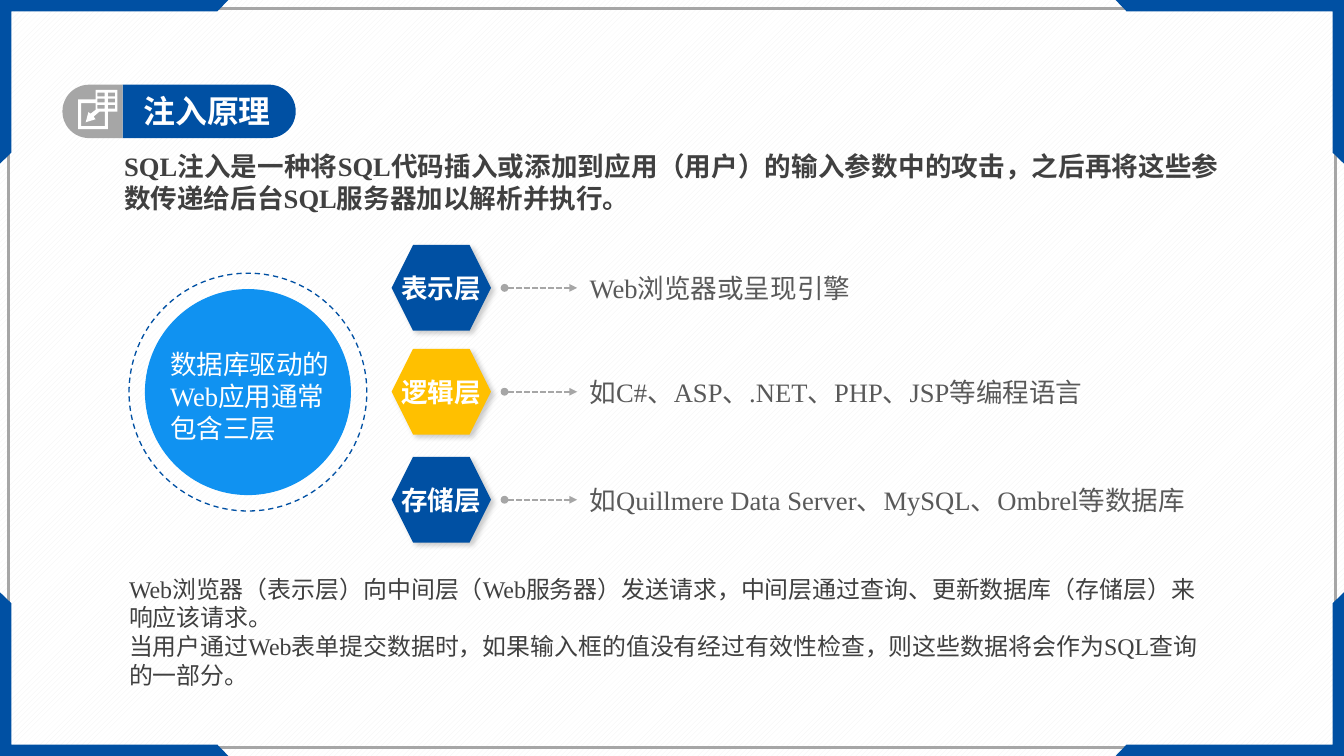
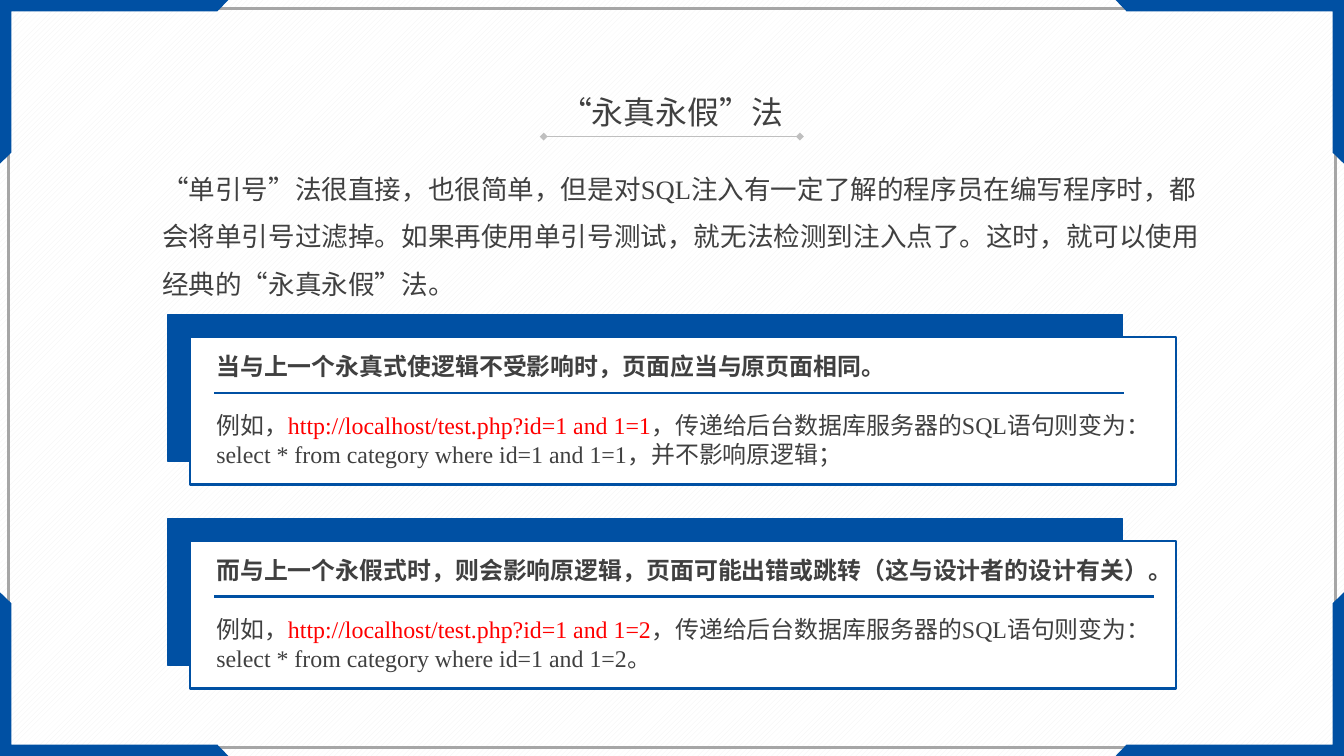
from lxml.etree import SubElement
from pptx import Presentation
from pptx.dml.color import RGBColor
from pptx.enum.dml import MSO_LINE, MSO_PATTERN
from pptx.enum.lang import MSO_LANGUAGE_ID
from pptx.enum.shapes import MSO_CONNECTOR, MSO_SHAPE
from pptx.enum.text import MSO_ANCHOR, PP_ALIGN
from pptx.oxml.ns import qn
from pptx.shapes.connector import Connector
from pptx.util import Cm, Pt

WIDTH, HEIGHT = 35.72, 20.09
BLUE, GREY, WHITE, RED = "0050A3", "A6A6A6", "FFFFFF", "FF0000"
DARK, MEDIUM = "404040", "595959"
SERIF, SANS = "Times New Roman", "Noto Sans CJK SC"


def paint(shape, fill=None, line=None, width=1, dash=None, ends=None):
    """Set fill and line, remove the shadow, and add (head, tail) line ends."""
    if line:
        shape.line.color.rgb = RGBColor.from_string(line)
        shape.line.width = Pt(width)
        if dash:
            shape.line.dash_style = dash
    else:
        shape.line.fill.background()
    if isinstance(shape, Connector):
        outline = shape.element.spPr.find(qn("a:ln"))
        for tag, kind in zip(("a:headEnd", "a:tailEnd"), ends or ()):
            SubElement(outline, qn(tag), type=kind)
        SubElement(shape.element.spPr, qn("a:effectLst"))
        return
    shape.shadow.inherit = False
    if fill:
        shape.fill.solid()
        shape.fill.fore_color.rgb = RGBColor.from_string(fill)
    else:
        shape.fill.background()


def write(shape, paragraphs, size, name=SERIF, bold=False, frame_format=None, **paragraph_format):
    """Fill a shape with paragraphs, each a list of (text, colour) runs."""
    frame = shape.text_frame
    for key, value in {"word_wrap": True, **(frame_format or {})}.items():
        setattr(frame, key, value)
    for index, runs in enumerate(paragraphs):
        paragraph = frame.paragraphs[0] if index == 0 else frame.add_paragraph()
        for key, value in {"alignment": PP_ALIGN.LEFT, **paragraph_format}.items():
            setattr(paragraph, key, value)
        for text, color in runs:
            run = paragraph.add_run()
            run.text = text
            run.font.color.rgb = RGBColor.from_string(color)
            font_format = {"size": Pt(size), "bold": bold, "name": name,
                           "language_id": MSO_LANGUAGE_ID.SIMPLIFIED_CHINESE}
            for key, value in font_format.items():
                setattr(run.font, key, value)
            SubElement(run.font._element, qn("a:ea"), typeface=SANS)


presentation = Presentation()
presentation.slide_width, presentation.slide_height = Cm(WIDTH), Cm(HEIGHT)
layout = presentation.slide_layouts[6]
for placeholder in list(layout.placeholders):
    layout.shapes.element.remove(placeholder.element)
background = layout.background.fill
background.patterned()
background.pattern = MSO_PATTERN.WIDE_UPWARD_DIAGONAL
background.fore_color.rgb = RGBColor.from_string("F2F2F2")
background.back_color.rgb = RGBColor.from_string(WHITE)

principle_slide = presentation.slides.add_slide(layout)
shapes = principle_slide.shapes

# Shared frame: drawn once, then moved to the layout
border = shapes.add_shape(MSO_SHAPE.RECTANGLE, Cm(0.23), Cm(0.23), Cm(WIDTH - 0.46), Cm(HEIGHT - 0.46))
paint(border, line=GREY, width=2)
frame_parts = [border]
corner_points = [(0, 0), (6.07, 0), (5.78, 0.3), (0.3, 0.3), (0.3, 4.06), (0, 4.35)]
for right in (False, True):
    for bottom in (False, True):
        points = [(Cm(WIDTH - x if right else x), Cm(HEIGHT - y if bottom else y)) for x, y in corner_points]
        builder = shapes.build_freeform(*points[0])
        builder.add_line_segments(points[1:])
        corner = builder.convert_to_shape()
        paint(corner, BLUE)
        frame_parts.append(corner)
for part in frame_parts:
    layout.shapes.element.append(part.element)

# Slide 1: heading tab with icon
for left, top, height, rotation, color in [(4.85, 0.66, 4.6, 90, BLUE), (1.75, 2.16, 1.6, 270, GREY)]:
    tab = shapes.add_shape(MSO_SHAPE.ROUND_2_SAME_RECTANGLE, Cm(left), Cm(top), Cm(1.42), Cm(height))
    tab.adjustments[0], tab.adjustments[1] = 0.5, 0
    tab.rotation = rotation
    paint(tab, color)
heading = shapes.add_textbox(Cm(3.43), Cm(2.24), Cm(4.45), Cm(1.42))
write(heading, [[("注入原理", WHITE)]], 24, bold=True,
      frame_format={"margin_left": Cm(0.38), "margin_right": Cm(0.38),
                    "margin_top": Cm(0.2), "margin_bottom": Cm(0.2)})

icon_contours = [
    [(3.12, 2.39), (2.54, 2.39), (2.54, 2.64), (2.08, 2.64), (2.08, 3.43),
     (2.87, 3.43), (2.87, 2.97), (3.12, 2.97)],
    [(2.79, 3.35), (2.16, 3.35), (2.16, 2.74), (2.54, 2.74), (2.54, 2.92), (2.41, 3.02),
     (2.35, 2.98), (2.28, 3.25), (2.54, 3.17), (2.49, 3.1), (2.64, 2.97), (2.79, 2.97)],
]
for left in (2.59, 2.87):
    for top in (2.46, 2.62, 2.79):
        right, bottom = left + 0.19, top + 0.1
        icon_contours.append([(left, top), (right, top), (right, bottom), (left, bottom)])
builder = None
for contour in icon_contours:
    points = [(Cm(x), Cm(y)) for x, y in contour]
    if builder is None:
        builder = shapes.build_freeform(*points[0])
    else:
        builder.move_to(*points[0])
    builder.add_line_segments(points[1:])
paint(builder.convert_to_shape(), WHITE)

introduction = shapes.add_textbox(Cm(3.05), Cm(3.86), Cm(29.59), Cm(1.96))
write(introduction, [[("SQL注入是一种将SQL代码插入或添加到应用（用户）的输入参数中的攻击，"
                       "之后再将这些参数传递给后台SQL服务器加以解析并执行。", DARK)]],
      20, bold=True, alignment=PP_ALIGN.JUSTIFY)

# Slide 1: circle and the three layers
for diameter, style in [(6.32, {"line": BLUE, "dash": MSO_LINE.DASH}),
                        (5.44, {"fill": "1092F1", "line": "1092F1"})]:
    circle = shapes.add_shape(MSO_SHAPE.OVAL, Cm(6.59 - diameter / 2), Cm(10.42 - diameter / 2),
                              Cm(diameter), Cm(diameter))
    paint(circle, **style)
circle_text = shapes.add_textbox(Cm(4.27), Cm(9.12), Cm(5.21), Cm(2.82))
write(circle_text, [[("数据库驱动的Web应用通常包含三层", WHITE)]], 20)

layers = [
    (7.65, "表示层", BLUE, 14.5, "Web浏览器或呈现引擎"),
    (10.41, "逻辑层", "FFC000", 14.5, "如C#、ASP、.NET、PHP、JSP等编程语言"),
    (13.28, "存储层", BLUE, 17.6, "如Quillmere Data Server、MySQL、Ombrel等数据库"),
]
for middle, label, color, width, description in layers:
    hexagon = shapes.add_shape(MSO_SHAPE.HEXAGON, Cm(10.41), Cm(middle - 1.14), Cm(2.64), Cm(2.28))
    paint(hexagon, color)
    effects = hexagon.element.spPr.find(qn("a:effectLst"))
    shadow = SubElement(effects, qn("a:outerShdw"), blurRad=str(Pt(4)), dist=str(Pt(3)),
                        dir="2700000", algn="tl", rotWithShape="0")
    shadow_color = SubElement(shadow, qn("a:srgbClr"), val="000000")
    SubElement(shadow_color, qn("a:alpha"), val="20000")
    write(hexagon, [[(label, WHITE)]], 20, bold=True, alignment=PP_ALIGN.CENTER,
          frame_format={"word_wrap": False, "vertical_anchor": MSO_ANCHOR.MIDDLE,
                        "margin_left": 0, "margin_right": 0})
    arrow = shapes.add_connector(MSO_CONNECTOR.STRAIGHT, Cm(13.41), Cm(middle), Cm(15.34), Cm(middle))
    paint(arrow, line=GREY, width=1.5, dash=MSO_LINE.SQUARE_DOT, ends=("oval", "triangle"))
    description_box = shapes.add_textbox(Cm(15.42), Cm(middle - 0.56), Cm(width), Cm(1.12))
    write(description_box, [[(description, MEDIUM)]], 20,
          frame_format={"vertical_anchor": MSO_ANCHOR.MIDDLE})

explanation = shapes.add_textbox(Cm(3.18), Cm(15.14), Cm(29.36), Cm(3.33))
write(explanation, [
    [("Web浏览器（表示层）向中间层（Web服务器）发送请求，中间层通过查询、更新数据库（存储层）来响应该请求。", DARK)],
    [("当用户通过Web表单提交数据时，如果输入框的值没有经过有效性检查，则这些数据将会作为SQL查询的一部分。", DARK)],
], 18)

# Slide 2: title and introduction
method_slide = presentation.slides.add_slide(layout)
shapes = method_slide.shapes
title_rule = shapes.add_connector(MSO_CONNECTOR.STRAIGHT, Cm(14.45), Cm(3.63), Cm(21.26), Cm(3.63))
paint(title_rule, line="BFBFBF", width=0.5, ends=("diamond", "diamond"))
title = shapes.add_textbox(Cm(14.6), Cm(2.34), Cm(6.5), Cm(1.27))
write(title, [[("“永真永假”法", DARK)]], 24, SANS, alignment=PP_ALIGN.CENTER,
      frame_format={"word_wrap": False})
method_text = shapes.add_textbox(Cm(4.06), Cm(4.04), Cm(28.19), Cm(3.96))
write(method_text, [[("“单引号”法很直接，也很简单，但是对SQL注入有一定了解的程序员在编写程序时，"
                      "都会将单引号过滤掉。如果再使用单引号测试，就无法检测到注入点了。"
                      "这时，就可以使用经典的“永真永假”法。", DARK)]], 20, line_spacing=1.5)

# Slide 2: one card for each condition
cards = [
    ("当与上一个永真式使逻辑不受影响时，页面应当与原页面相同。", 29.87, "1=1", "，并不影响原逻辑；"),
    ("而与上一个永假式时，则会影响原逻辑，页面可能出错或跳转（这与设计者的设计有关）。", 30.66, "1=2", "。"),
]
for index, (card_title, rule_end, condition, ending) in enumerate(cards):
    top = 8.36 + index * 5.42
    for left, offset, width, fill, line_width in [(4.47, 0, 25.37, BLUE, 1), (5.05, 0.6, 26.21, WHITE, 2)]:
        panel = shapes.add_shape(MSO_SHAPE.RECTANGLE, Cm(left), Cm(top + offset), Cm(width), Cm(3.91))
        paint(panel, fill, BLUE, line_width)
    card_heading = shapes.add_textbox(Cm(5.5), Cm(top + 0.86), Cm(26.6), Cm(1.02))
    write(card_heading, [[(card_title, DARK)]], 18, SANS, bold=True)
    rule = shapes.add_connector(MSO_CONNECTOR.STRAIGHT, Cm(5.69), Cm(top + 2.08), Cm(rule_end), Cm(top + 2.08))
    paint(rule, line=BLUE, width=2)
    example = shapes.add_textbox(Cm(5.5), Cm(top + 2.44), Cm(24.79), Cm(1.8))
    write(example, [[
        ("例如，", DARK),
        (f"http://localhost/test.php?id=1 and {condition}", RED),
        ("，传递给后台数据库服务器的SQL语句则变为："
         f"select * from category where id=1 and {condition}{ending}", DARK),
    ]], 18)

presentation.save("out.pptx")
